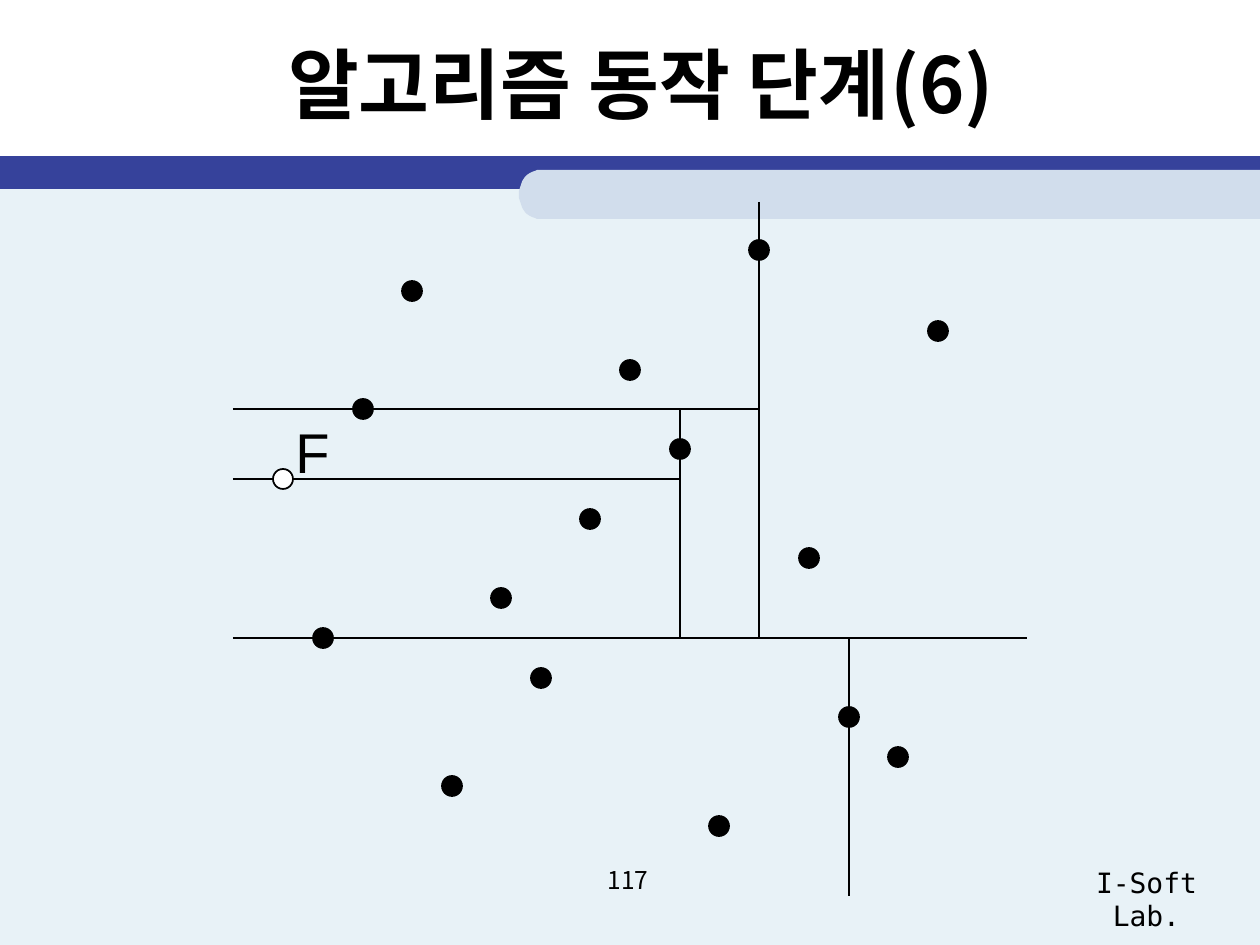
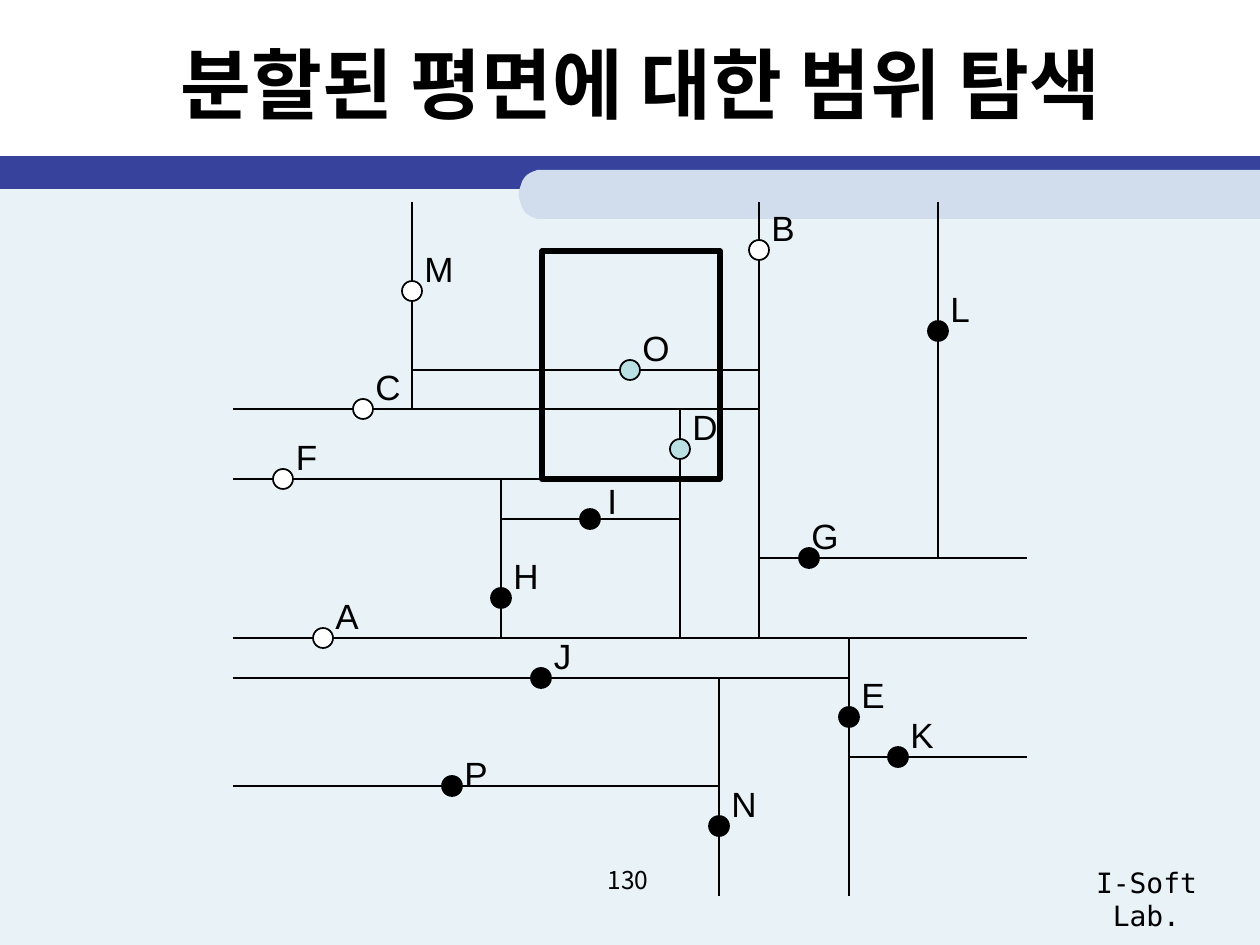
import math

from lxml import etree
from pptx import Presentation
from pptx.dml.color import RGBColor
from pptx.enum.shapes import MSO_CONNECTOR, MSO_SHAPE
from pptx.enum.text import MSO_ANCHOR, PP_ALIGN
from pptx.oxml.ns import qn
from pptx.util import Pt

PX = 914400 / 126
WIDTH, HEIGHT = 1260, 945

STRAIGHT = MSO_CONNECTOR.STRAIGHT
RECTANGLE, OVAL = MSO_SHAPE.RECTANGLE, MSO_SHAPE.OVAL
CENTER = PP_ALIGN.CENTER
TOP, MIDDLE = MSO_ANCHOR.TOP, MSO_ANCHOR.MIDDLE

COLORS = {
    "ink": "000000",
    "open": "FFFFFF",
    "found": "BBE0E3",
    "body": "E8F2F7",
    "band": "36429B",
    "tab": "D1DDEC",
}
KOREAN, MONO, LATIN = "Noto Sans CJK KR", "DejaVu Sans Mono", "Arial"

# Name: centre x, centre y, label width
POINTS = {
    "A": (323, 638, 48), "B": (759, 250, 48), "C": (363, 409, 50), "D": (680, 449, 50),
    "E": (849, 717, 48), "F": (283, 479, 47), "G": (809, 558, 52), "H": (501, 598, 50),
    "I": (590, 519, 34), "J": (541, 678, 43), "K": (898, 757, 48), "L": (938, 331, 44),
    "M": (412, 291, 54), "N": (719, 826, 50), "O": (630, 370, 52), "P": (452, 786, 48),
}
LABEL_NUDGES = {"G": (-10, 0), "I": (5, 4), "P": (0, 10)}

# Each cut runs through its point, between two plane edges or earlier cuts
PLANE = {"left": 233, "right": 1027, "top": 202, "bottom": 896}
HORIZONTAL_CUTS = {
    "A": ("left", "right"), "C": ("left", "B"), "F": ("left", "D"), "G": ("B", "right"),
    "I": ("H", "D"), "J": ("left", "E"), "K": ("E", "right"), "O": ("M", "B"),
    "P": ("left", "N"),
}
VERTICAL_CUTS = {
    "B": ("top", "A"), "D": ("C", "A"), "E": ("A", "bottom"), "H": ("F", "A"),
    "L": ("top", "G"), "M": ("top", "C"), "N": ("J", "bottom"),
}


def emu(*lengths):
    return [round(length * PX) for length in lengths]


def bound(name, axis):
    """Coordinate of a plane edge or of the cut through a named point."""
    return PLANE[name] if name in PLANE else POINTS[name][axis]


class Deck:
    """Holds the style of the presentation and the current page."""

    def __init__(self):
        self.presentation = Presentation()
        self.presentation.slide_width, self.presentation.slide_height = emu(WIDTH, HEIGHT)
        self.page = None

    def start_page(self, title, number):
        layout = self.presentation.slide_layouts[6]
        self.page = self.presentation.slides.add_slide(layout)
        self.shape(RECTANGLE, 0, 176, WIDTH, HEIGHT - 176, fill="body")
        self.shape(RECTANGLE, 0, 156, WIDTH, 33, fill="band")
        self.rounded_tab(519, 170, 49)
        self.text("I-Soft Lab.", 1047, 859, 199, 47, size=16, font=MONO)
        self.text(title, 74, 10, 1134, 145, size=44, bold=True, anchor=MIDDLE)
        self.text(str(number), 481, 859, 294, 66, size=14)

    def paint(self, shape, fill=None, line=None, weight=1):
        shape.shadow.inherit = False
        if fill:
            shape.fill.solid()
            shape.fill.fore_color.rgb = RGBColor.from_string(COLORS[fill])
        else:
            shape.fill.background()
        if line:
            shape.line.color.rgb = RGBColor.from_string(COLORS[line])
            shape.line.width = Pt(weight)
        else:
            shape.line.fill.background()

    def shape(self, kind, left, top, width, height, **style):
        shape = self.page.shapes.add_shape(kind, *emu(left, top, width, height))
        self.paint(shape, **style)

    def rounded_tab(self, left, top, height, radius=21, steps=24):
        """Band with a rounded left end that runs to the right edge of the page."""
        half = height / 2
        outline = [(WIDTH, top)]
        for step in range(steps + 1):
            angle = math.pi * step / steps
            outline.append((left + radius - radius * math.sin(angle),
                            top + half - half * math.cos(angle)))
        outline.append((WIDTH, top + height))
        builder = self.page.shapes.build_freeform(*outline[0], scale=PX)
        builder.add_line_segments(outline[1:], close=True)
        self.paint(builder.convert_to_shape(), fill="tab")

    def text(self, text, left, top, width, height, size, font=KOREAN, bold=False, anchor=TOP):
        box = self.page.shapes.add_textbox(*emu(left, top, width, height))
        frame = box.text_frame
        frame.word_wrap = True
        frame.vertical_anchor = anchor
        para = frame.paragraphs[0]
        para.alignment = CENTER
        span = para.add_run()
        span.text = text
        span.font.name = font
        span.font.size = Pt(size)
        span.font.bold = bold
        span.font.color.rgb = RGBColor.from_string(COLORS["ink"])
        properties = span.font._element if hasattr(span.font, "_element") else span._r.rPr
        etree.SubElement(properties, qn("a:ea")).set("typeface", font)

    def line(self, *ends):
        connector = self.page.shapes.add_connector(STRAIGHT, *emu(*ends))
        connector.line.color.rgb = RGBColor.from_string(COLORS["ink"])
        connector.line.width = Pt(0.75)
        etree.SubElement(connector._element.spPr, qn("a:effectLst"))

    def cut(self, name):
        x, y, _ = POINTS[name]
        if name in HORIZONTAL_CUTS:
            start, end = (bound(edge, 0) for edge in HORIZONTAL_CUTS[name])
            self.line(start, y, end, y)
        else:
            start, end = (bound(edge, 1) for edge in VERTICAL_CUTS[name])
            self.line(x, start, x, end)

    def point(self, name, fill):
        x, y, _ = POINTS[name]
        self.shape(OVAL, x - 10, y - 10, 20, 20, fill=fill, line="ink")

    def partition(self, cuts, opened, found=""):
        """Draw the cuts, then every point in the colour of its state."""
        for name in cuts:
            self.cut(name)
        for name in POINTS:
            state = "open" if name in opened else "found" if name in found else "ink"
            self.point(name, state)

    def label(self, name):
        x, y, width = POINTS[name]
        shift_x, shift_y = LABEL_NUDGES.get(name, (0, 0))
        self.text(name, x + shift_x, y - 50 + shift_y, width, 55, size=20, font=LATIN)


def main():
    deck = Deck()

    deck.start_page("알고리즘 동작 단계(6)", 117)
    deck.partition(cuts="ABCDEF", opened="F")
    deck.text("F", 283, 411, 59, 81, size=32, font=LATIN)

    deck.start_page("분할된 평면에 대한 범위 탐색", 130)
    deck.partition(cuts=POINTS, opened="ABCFM", found="DO")
    for name in POINTS:
        deck.label(name)
    deck.shape(RECTANGLE, 542, 251, 178, 228, line="ink", weight=3)

    deck.presentation.save("out.pptx")


if __name__ == "__main__":
    main()
